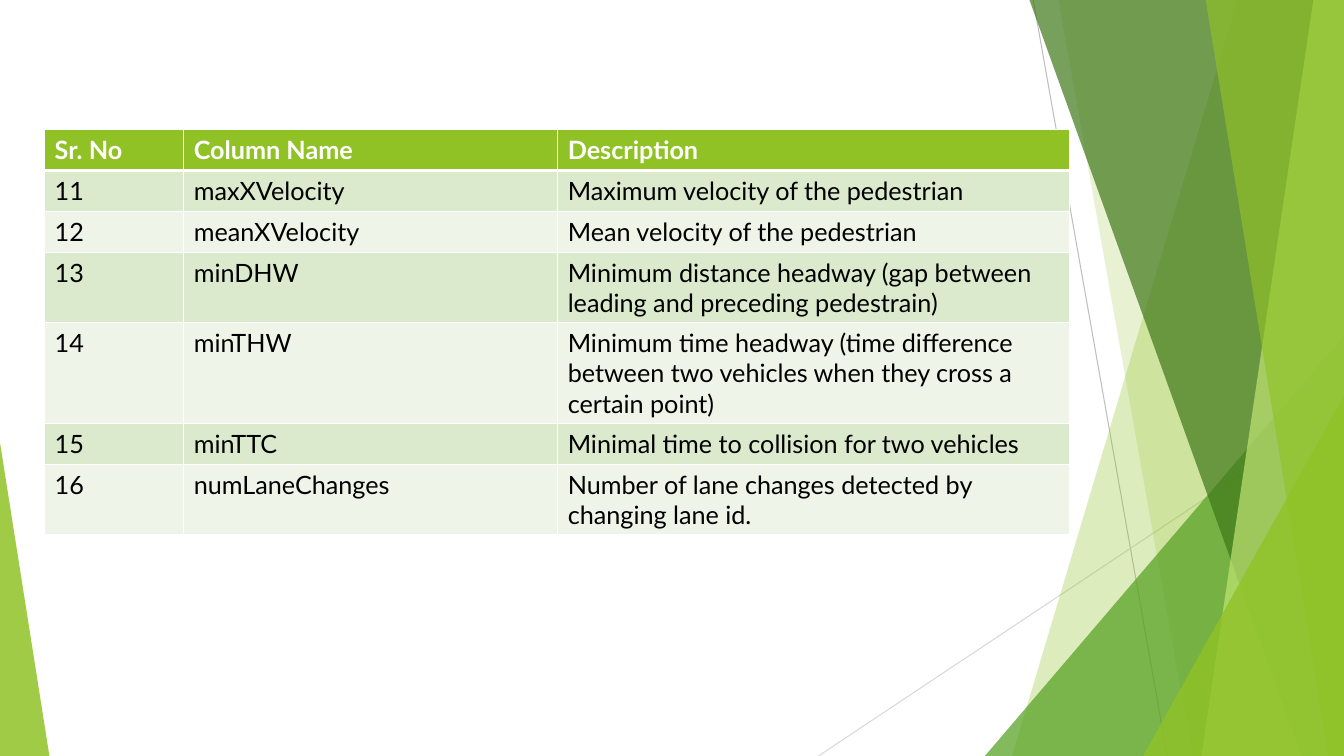
from lxml import etree
from pptx import Presentation
from pptx.dml.color import RGBColor
from pptx.enum.shapes import MSO_CONNECTOR as Connector, MSO_SHAPE as Shape
from pptx.oxml.ns import qn
from pptx.util import Emu, Inches, Pt


def color(value):
    return RGBColor.from_string(value)


class SlideBuilder:
    font = "Lato"
    text_size = 18
    green = "90C226"
    white = "FFFFFF"
    black = "000000"
    bands = ("DBE9CD", "EEF4E8")

    def __init__(self, deck):
        self.width = deck.slide_width
        self.height = deck.slide_height
        self.page = deck.slides.add_slide(deck.slide_layouts[6])
        background = self.page.background.fill
        background.solid()
        background.fore_color.rgb = color(self.white)

    def across(self, percent):
        return Emu(round(self.width * percent / 100))

    def down(self, percent):
        return Emu(round(self.height * percent / 100))

    def point(self, spot):
        return self.across(spot[0]), self.down(spot[1])

    def paint(self, shape, fill, opacity):
        shape.shadow.inherit = False
        shape.line.fill.background()
        shape.fill.solid()
        shape.fill.fore_color.rgb = color(fill)
        tint = shape.fill._xPr.find(qn("a:solidFill"))[0]
        etree.SubElement(tint, qn("a:alpha"), val=str(opacity * 1000))

    def line(self, start, end, stroke):
        connector = self.page.shapes.add_connector(
            Connector.STRAIGHT, *self.point(start), *self.point(end))
        connector.line.color.rgb = color(stroke)
        connector.line.width = Pt(0.75)
        etree.SubElement(connector._element.spPr, qn("a:effectLst"))

    def panel(self, top_left, bottom_left, fill, opacity):
        corners = [(top_left, -0.1), (100, -0.1), (100, 100), (bottom_left, 100)]
        first, *others = [self.point(corner) for corner in corners]
        builder = self.page.shapes.build_freeform(*first)
        builder.add_line_segments(others, close=True)
        self.paint(builder.convert_to_shape(), fill, opacity)

    def corner(self, left, top, width, apex, fill, opacity):
        shape = self.page.shapes.add_shape(
            Shape.ISOSCELES_TRIANGLE, *self.point((left, top)),
            *self.point((width, 100 - top)))
        shape.adjustments[0] = apex
        self.paint(shape, fill, opacity)

    def border(self, cell, widths):
        properties = cell._tc.get_or_add_tcPr()
        for index, (side, width) in enumerate(zip("LRTB", widths)):
            edge = etree.Element(qn(f"a:ln{side}"), w=str(Pt(width)))
            fill = etree.SubElement(edge, qn("a:solidFill"))
            etree.SubElement(fill, qn("a:srgbClr"), val=self.white)
            properties.insert(index, edge)

    def cell(self, cell, text, row):
        header = row == 0
        cell.fill.solid()
        cell.fill.fore_color.rgb = color(
            self.green if header else self.bands[(row - 1) % 2])
        cell.text = text
        font = cell.text_frame.paragraphs[0].font
        font.name = self.font
        font.size = Pt(self.text_size)
        font.bold = header
        font.color.rgb = color(self.white if header else self.black)
        self.border(cell, (1, 1, 3 if row == 1 else 1, 3 if header else 1))

    def table(self, left, top, height, columns, row_height, rows):
        table = self.page.shapes.add_table(
            len(rows), len(columns), *self.point((left, top)),
            *self.point((sum(columns), height))).table
        for column, width in zip(table.columns, columns):
            column.width = self.across(width)
        for index, texts in enumerate(rows):
            table.rows[index].height = self.down(row_height)
            for position, text in enumerate(texts):
                self.cell(table.cell(index, position), text, index)


def main():
    deck = Presentation()
    deck.slide_width = Inches(13.333)
    deck.slide_height = Inches(7.5)
    slide = SlideBuilder(deck)

    slide.line((76.88, 0), (86.85, 100), "BFBFBF")
    slide.line((100, 53.73), (60.9, 100), "D9D9D9")
    slide.panel(92.1, 75.3, slide.green, 30)
    slide.panel(78.75, 88.73, slide.green, 20)
    slide.corner(73.28, 44.4, 26.72, 1, "54A021", 72)
    slide.panel(76.58, 96.83, "3F7819", 70)
    slide.panel(97.73, 89.4, "C0E474", 70)
    slide.panel(89.7, 98.85, slide.green, 65)
    slide.corner(85.05, 52.4, 14.95, 1, slide.green, 80)
    slide.corner(0, 58.53, 3.68, 0, slide.green, 85)

    slide.table(3.32, 17.13, 53.6, (10.35, 27.83, 38.1), 5.41, [
        ("Sr. No", "Column Name", "Description"),
        ("11", "maxXVelocity", "Maximum velocity of the pedestrian"),
        ("12", "meanXVelocity", "Mean velocity of the pedestrian"),
        ("13", "minDHW", "Minimum distance headway (gap between "
                         "leading and preceding pedestrain)"),
        ("14", "minTHW", "Minimum time headway (time difference between "
                         "two vehicles when they cross a certain point)"),
        ("15", "minTTC", "Minimal time to collision for two vehicles"),
        ("16", "numLaneChanges", "Number of lane changes detected by "
                                 "changing lane id."),
    ])
    deck.save("out.pptx")


if __name__ == "__main__":
    main()
